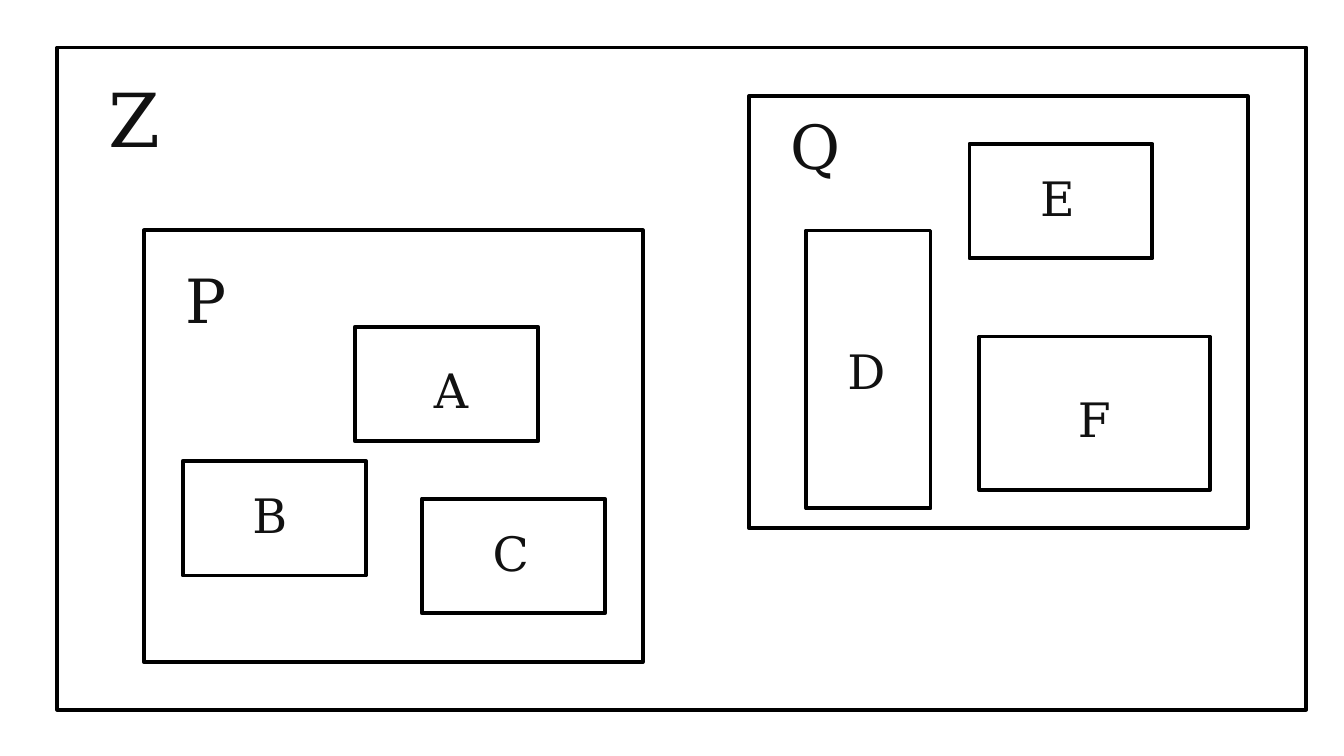
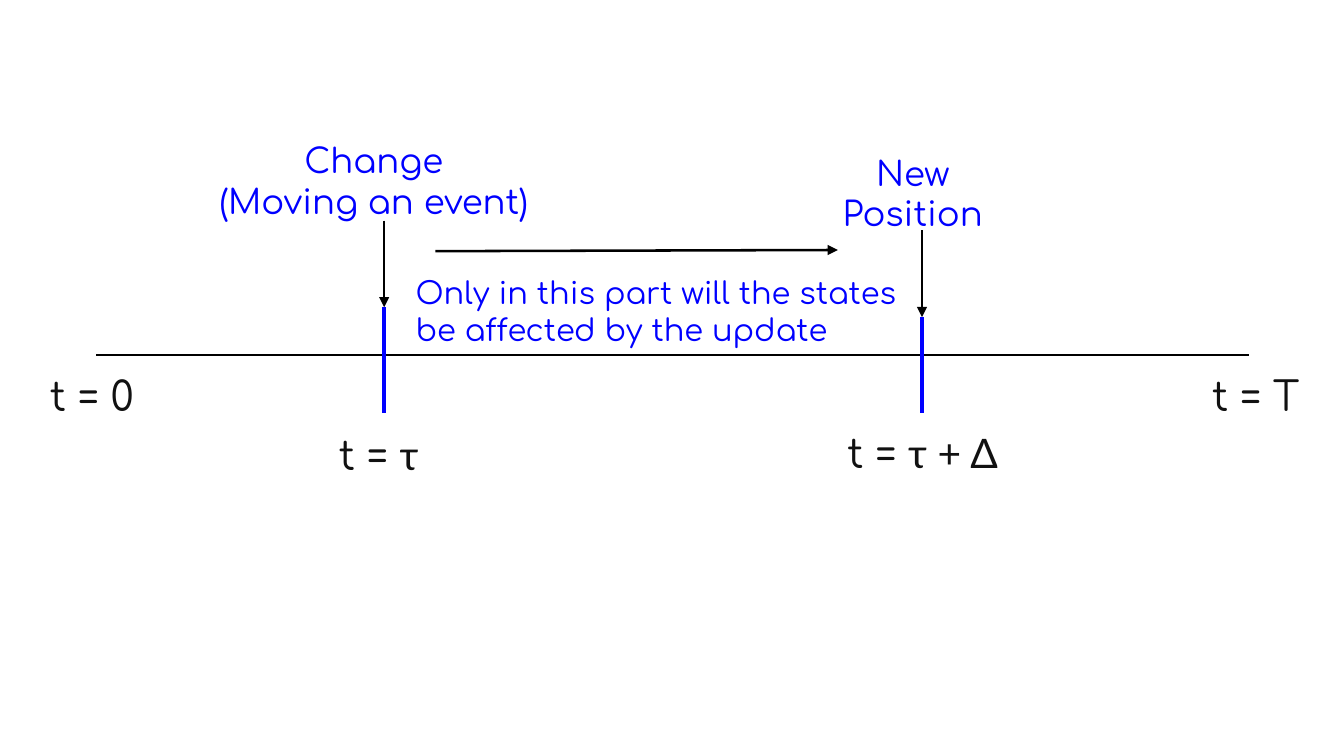
"""Build two slides: nested regions and a timeline of a moved event."""
from dataclasses import dataclass

from lxml.etree import SubElement
from pptx import Presentation
from pptx.dml.color import RGBColor
from pptx.enum.shapes import MSO_CONNECTOR, MSO_SHAPE
from pptx.enum.text import MSO_AUTO_SIZE, PP_ALIGN
from pptx.oxml.ns import qn
from pptx.util import Emu, Pt


@dataclass(frozen=True)
class Theme:
    """Colours, fonts, type sizes and line widths shared by the slides."""

    paper: RGBColor = RGBColor(0xFF, 0xFF, 0xFF)
    stroke: RGBColor = RGBColor(0x00, 0x00, 0x00)
    ink: RGBColor = RGBColor(0x11, 0x11, 0x11)
    accent: RGBColor = RGBColor(0x00, 0x00, 0xFF)
    serif: str = "DejaVu Serif"
    rounded: str = "Comfortaa"
    greek: str = "Lato"
    universe: int = 44
    group: int = 36
    member: int = 28
    time: int = 24
    event: int = 20
    remark: int = 18
    thin: float = 1.5
    thick: float = 2.3


THEME = Theme()
EMU_PER_PX = 9144
SLIDE_SIZE = (1102, 620)


def px(length):
    """Turn px, 100 to the inch, into EMU."""
    return Emu(length * EMU_PER_PX)


def add_text(slide, text, box, *, size, font=THEME.rounded, color=THEME.ink,
             align=None, greek=""):
    """Add a growing text box, with an optional Greek ending in its own font."""
    frame = slide.shapes.add_textbox(*map(px, box)).text_frame
    frame.word_wrap = True
    frame.auto_size = MSO_AUTO_SIZE.SHAPE_TO_FIT_TEXT
    for index, line in enumerate(text.split("\n")):
        paragraph = frame.add_paragraph() if index else frame.paragraphs[0]
        paragraph.alignment = align
        for words, face in ((line, font), (greek, THEME.greek)):
            if words:
                run = paragraph.add_run()
                run.text = words
                run.font.name = face
                run.font.size = Pt(size)
                run.font.color.rgb = color


def add_region(slide, box):
    """Add an outlined rectangle."""
    region = slide.shapes.add_shape(MSO_SHAPE.RECTANGLE, *map(px, box))
    region.shadow.inherit = False
    region.fill.solid()
    region.fill.fore_color.rgb = THEME.paper
    region.line.color.rgb = THEME.stroke
    region.line.width = Pt(THEME.thick)


def add_line(slide, start, end, *, color=THEME.stroke, width=THEME.thin, arrow=False):
    """Add a straight line, with an arrowhead at its end if asked."""
    line = slide.shapes.add_connector(MSO_CONNECTOR.STRAIGHT, *map(px, start + end))
    line.line.color.rgb = color
    line.line.width = Pt(width)
    properties = line.element.spPr
    if arrow:
        SubElement(properties.find(qn("a:ln")), qn("a:tailEnd"), type="triangle")
    SubElement(properties, qn("a:effectLst"))


def build_regions(slide):
    """Draw region Z, groups P and Q in it, and their members."""
    group_size, member_size = (409, 354), (150, 94)
    regions = (
        (47, 39, 1024, 543),
        (118, 189, *group_size),
        (614, 79, *group_size),
        (291, 268, *member_size),
        (346, 409, *member_size),
        (150, 378, *member_size),
        (795, 118, *member_size),
        (661, 189, 102, 228),
        (803, 276, 189, 126),
    )
    for box in regions:
        add_region(slide, box)

    labels = (
        (THEME.universe, (126, 108), {"Z": (79, 55)}),
        (THEME.group, (126, 91), {"Q": (638, 84), "P": (142, 210)}),
        (THEME.member, (55, 73), {
            "A": (346, 291), "B": (197, 394), "C": (394, 425),
            "D": (685, 276), "E": (843, 134), "F": (874, 315),
        }),
    )
    for size, extent, places in labels:
        for letter, corner in places.items():
            add_text(slide, letter, corner + extent, size=size, font=THEME.serif)


def build_timeline(slide):
    """Draw the time axis, the moved event and the span it affects."""
    axis_y, tick_bottom, arrow_length = 291, 339, 71
    add_line(slide, (79, axis_y), (1024, axis_y))

    events = (
        (315, 252, "Change\n(Moving an event)", (165, 110, 283, 103)),
        (756, 260, "New Position", (670, 120, 157, 96)),
    )
    for x, tick_top, caption, box in events:
        add_line(slide, (x, tick_top), (x, tick_bottom),
                 color=THEME.accent, width=THEME.thick)
        add_line(slide, (x, tick_top - arrow_length), (x, tick_top), arrow=True)
        add_text(slide, caption, box, size=THEME.event, color=THEME.accent,
                 align=PP_ALIGN.CENTER)

    times = (
        ("t = 0", "", (31, 299, 102, 63)),
        ("t = T", "", (984, 299, 102, 63)),
        ("t = ", "τ", (268, 348, 102, 63)),
        ("t = ", "τ + Δ", (685, 346, 173, 78)),
    )
    for text, greek, box in times:
        add_text(slide, text, box, size=THEME.time, greek=greek)

    add_text(slide, "Only in this part will the states be affected by the update",
             (331, 220, 425, 93), size=THEME.remark, color=THEME.accent)
    add_line(slide, (357, 206), (687, 205), arrow=True)


def main():
    """Build both slides and save them."""
    deck = Presentation()
    deck.slide_width, deck.slide_height = map(px, SLIDE_SIZE)
    blank = deck.slide_layouts[6]
    for build in (build_regions, build_timeline):
        build(deck.slides.add_slide(blank))
    deck.save("out.pptx")


if __name__ == "__main__":
    main()
